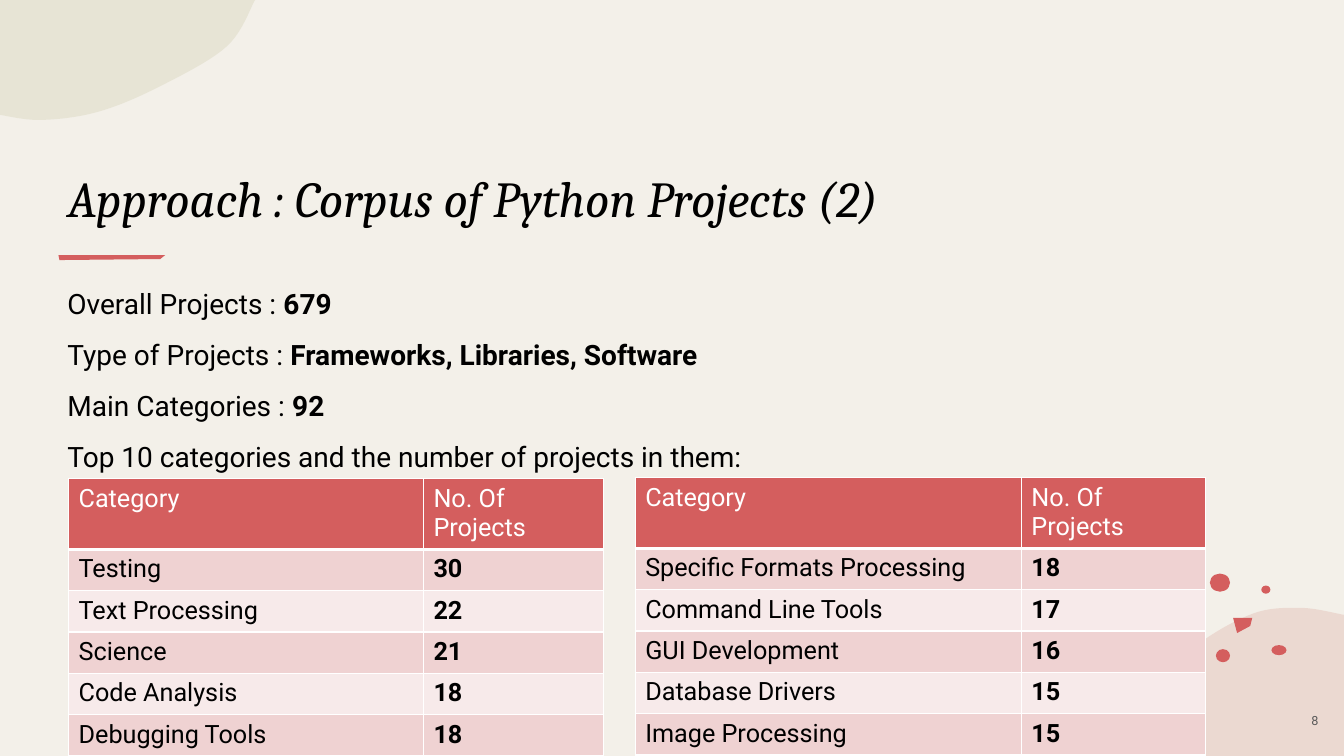
from dataclasses import dataclass

from pptx import Presentation
from pptx import util as u
from pptx.dml import color
from pptx.enum import shapes, text
from pptx.oxml import ns, parse_xml

BLACK, WHITE, RED = "000000", "FFFFFF", "D45E5E"
BANDS = ("EFD2D2", "F7EAEA")
SANS = "Roboto"


@dataclass
class Blob:
    """A bent edge through a few knots, closed by way of one slide corner."""
    knots: list
    corner: tuple
    hue: str


@dataclass
class Grid:
    left: float
    top: float
    cols: tuple
    rows: list


BLOBS = [
    Blob([(10.67, 7.5), (11.69, 6.54), (12.37, 6.11), (12.88, 6.03), (13.33, 6.1)],
         (13.33, 7.5), "E5C4BA"),
    Blob([(2.53, 0), (2.25, 0.46), (1.58, 0.86), (0.97, 1.11), (0.41, 1.19), (0, 1.14)],
         (0, 0), "DCD9C3"),
]
DOTS = [
    (12.06, 6.44, 0.14, 0.13), (11.79, 6.29, 0.16, 0.22), (12.61, 6.4, 0.15, 0.1),
    (12, 5.69, 0.2, 0.18), (12.51, 5.81, 0.09, 0.08), (11.78, 5.95, 0.09, 0.08),
]
CHIP = [(12.23, 6.13), (12.42, 6.13), (12.4, 6.21), (12.27, 6.28)]
STROKE = [(0.58, 2.53), (1.64, 2.53), (1.59, 2.57), (0.59, 2.58)]

FACTS = [
    ("Overall Projects : ", "679"),
    ("Type of Projects : ", "Frameworks, Libraries, Software"),
    ("Main Categories : ", "92"),
    ("Top 10 categories and the number of projects in them:", ""),
]

HEAD = ("Category", "No. Of Projects")
GRIDS = [
    Grid(0.68, 4.75, (3.52, 1.79), [
        HEAD, ("Testing", "30"), ("Text Processing", "22"), ("Science", "21"),
        ("Code Analysis", "18"), ("Debugging Tools", "18")]),
    Grid(6.3, 4.74, (3.83, 1.83), [
        HEAD, ("Specific Formats Processing", "18"), ("Command Line Tools", "17"),
        ("GUI Development", "16"), ("Database Drivers", "15"), ("Image Processing", "15")]),
]


def rgb(code: str) -> color.RGBColor:
    return color.RGBColor.from_string(code)


def style(run, size: float, hue: str = BLACK, bold: bool = False, face: str = SANS) -> None:
    font = run.font
    font.size, font.name, font.bold = u.Pt(size), face, bold
    font.color.rgb = rgb(hue)


def paint(shape, hue: str) -> None:
    shape.shadow.inherit = False
    shape.fill.solid()
    shape.fill.fore_color.rgb = rgb(hue)
    shape.line.fill.background()


def smooth(knots: list, parts: int = 10) -> list:
    """Run a Catmull-Rom curve through the knots."""
    spots = [knots[0]]
    ends = [knots[0], *knots, knots[-1]]
    for a, b, c, d in zip(ends, ends[1:], ends[2:], ends[3:]):
        for i in range(1, parts + 1):
            t = i / parts
            spots.append(tuple(
                q + t / 2 * (r - p + t * (2 * p - 5 * q + 4 * r - s + t * (3 * (q - r) + s - p)))
                for p, q, r, s in zip(a, b, c, d)))
    return spots


def add_outline(slide, spots: list, hue: str):
    first, *rest = [(u.Inches(x), u.Inches(y)) for x, y in spots]
    pen = slide.shapes.build_freeform(*first)
    pen.add_line_segments(rest, close=True)
    shape = pen.convert_to_shape()
    paint(shape, hue)
    return shape


def add_blob(slide, blob: Blob) -> None:
    shape = add_outline(slide, [*smooth(blob.knots), blob.corner], blob.hue)
    tint = shape._element.spPr.find(f"{ns.qn('a:solidFill')}/{ns.qn('a:srgbClr')}")
    tint.append(parse_xml(f'<a:alpha {ns.nsdecls("a")} val="50000"/>'))


def add_decor(slide) -> None:
    for blob in BLOBS:
        add_blob(slide, blob)
    for dot in DOTS:
        paint(slide.shapes.add_shape(shapes.MSO_SHAPE.OVAL, *map(u.Inches, dot)), RED)
    for spots in (CHIP, STROKE):
        add_outline(slide, spots, RED)


def add_box(slide, left: float, top: float, width: float, height: float):
    box = slide.shapes.add_textbox(*map(u.Inches, (left, top, width, height)))
    box.text_frame.word_wrap = True
    return box.text_frame


def add_title(slide, words: str) -> None:
    title = slide.shapes.title
    title.left, title.top, title.width, title.height = map(u.Inches, (0.57, 0.86, 11.02, 1.45))
    frame = title.text_frame
    frame.text = words
    frame.vertical_anchor = text.MSO_ANCHOR.BOTTOM
    frame.auto_size = text.MSO_AUTO_SIZE.NONE
    para = frame.paragraphs[0]
    para.alignment = text.PP_ALIGN.LEFT
    style(para.runs[0], 36, face="Cambria")
    para.runs[0].font.italic = True


def add_facts(slide) -> None:
    frame = add_box(slide, 0.57, 2.76, 11.02, 3.88)
    for i, (label, value) in enumerate(FACTS):
        para = frame.add_paragraph() if i else frame.paragraphs[0]
        para.line_spacing, para.space_before = 1.1, u.Pt(10)
        para.text = label
        style(para.runs[0], 20)
        if value:
            run = para.add_run()
            run.text = value
            style(run, 20, bold=True)


def add_edges(cell, base: int) -> None:
    for side in "LRTB":
        width = u.Pt(base if side == "B" else 1)
        cell._tc.get_or_add_tcPr().append(parse_xml(
            f'<a:ln{side} {ns.nsdecls("a")} w="{width}"><a:solidFill>'
            f'<a:srgbClr val="{WHITE}"/></a:solidFill></a:ln{side}>'))


def add_grid(slide, grid: Grid) -> None:
    high = 0.41
    frame = slide.shapes.add_table(
        len(grid.rows), len(grid.cols), u.Inches(grid.left), u.Inches(grid.top),
        u.Inches(sum(grid.cols)), u.Inches(high * len(grid.rows)))
    table = frame.table
    for col, width in zip(table.columns, grid.cols):
        col.width = u.Inches(width)
    for r, words in enumerate(grid.rows):
        table.rows[r].height = u.Inches(high)
        for c, word in enumerate(words):
            cell = table.cell(r, c)
            cell.text_frame.text = word
            style(cell.text_frame.paragraphs[0].runs[0], 18,
                  BLACK if r else WHITE, bool(r and c))
            add_edges(cell, 1 if r else 3)
            cell.fill.solid()
            cell.fill.fore_color.rgb = rgb(BANDS[(r - 1) % 2] if r else RED)


def add_page(slide, number: str) -> None:
    frame = add_box(slide, 12.75, 6.95, 0.58, 0.4)
    frame.text = number
    frame.vertical_anchor = text.MSO_ANCHOR.MIDDLE
    frame.paragraphs[0].alignment = text.PP_ALIGN.CENTER
    style(frame.paragraphs[0].runs[0], 9, "595959")


def main() -> None:
    deck = Presentation()
    deck.slide_width, deck.slide_height = u.Inches(13.33), u.Inches(7.5)
    slide = deck.slides.add_slide(deck.slide_layouts[5])
    slide.background.fill.solid()
    slide.background.fill.fore_color.rgb = rgb("F3F0E9")
    add_decor(slide)
    add_title(slide, "Approach : Corpus of Python Projects (2)")
    add_page(slide, "8")
    add_facts(slide)
    for grid in GRIDS:
        add_grid(slide, grid)
    deck.save("out.pptx")


if __name__ == "__main__":
    main()
